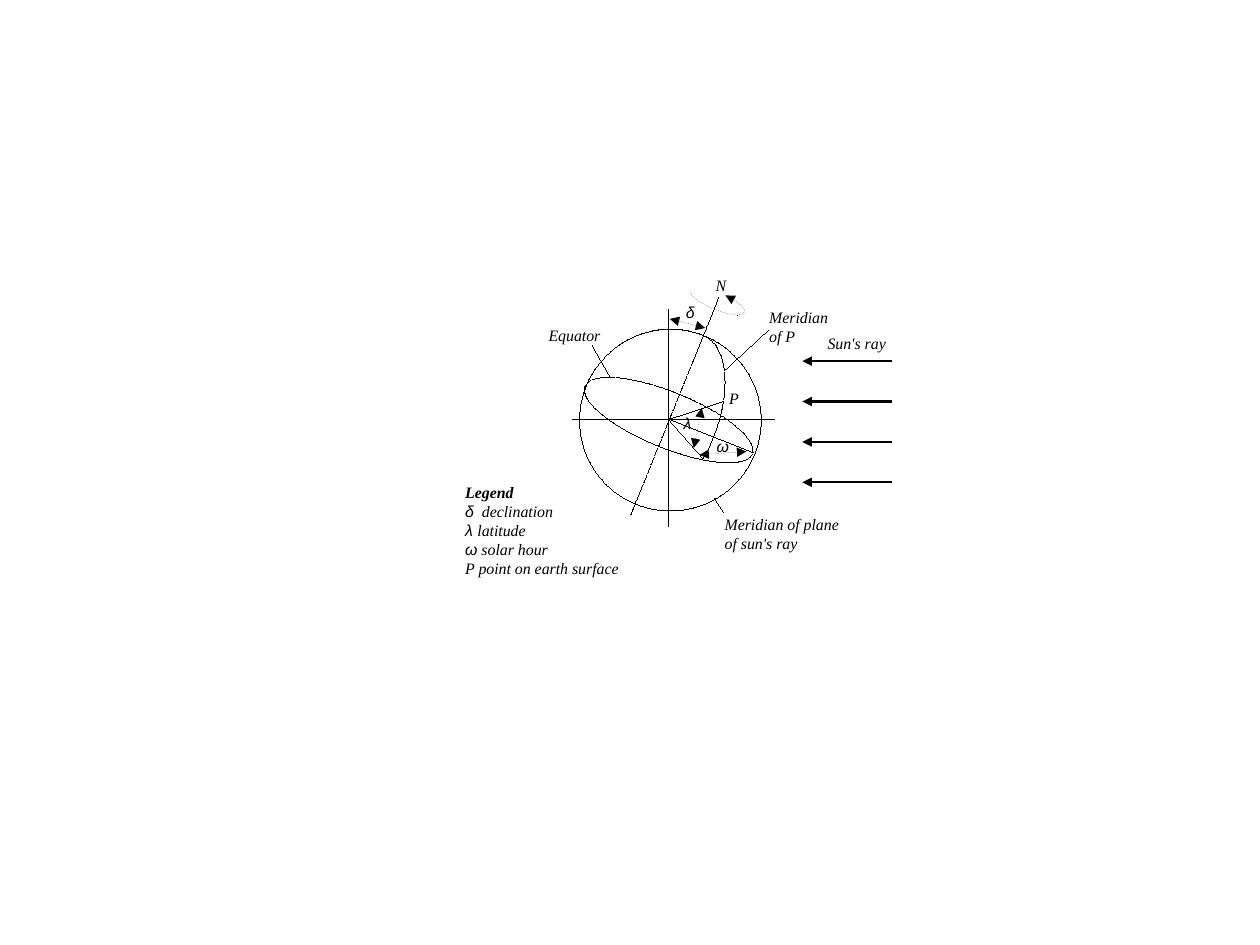
from lxml import etree
from pptx import Presentation
from pptx.dml.color import RGBColor
from pptx.enum.dml import MSO_LINE
from pptx.enum.shapes import MSO_CONNECTOR, MSO_SHAPE
from pptx.oxml.ns import qn
from pptx.util import Inches, Pt

STRAIGHT = MSO_CONNECTOR.STRAIGHT
ARC = MSO_SHAPE.ARC
OVAL = MSO_SHAPE.OVAL
DASHED = MSO_LINE.SQUARE_DOT
DOTTED = MSO_LINE.ROUND_DOT

COLORS = {"ink": "000000"}
SERIF = "Times New Roman"
SANS = "Arial"
HAIRLINE = 0.01
TILT = 22.1
ARC_UNITS_PER_DEGREE = 0.6
CM_PER_INCH = 2.54


def style_outline(element, width=HAIRLINE, dash=None, ends=()):
    element.line.color.rgb = RGBColor.from_string(COLORS["ink"])
    element.line.width = Pt(width)
    if dash is not None:
        element.line.dash_style = dash
    outline = element._element.spPr.find(qn("a:ln"))
    for end in ends:
        etree.SubElement(outline, qn(f"a:{end}"), type="triangle")


def add_line(slide, start, finish, **outline):
    line = slide.shapes.add_connector(STRAIGHT, *map(Inches, start + finish))
    style_outline(line, **outline)
    etree.SubElement(line._element.spPr, qn("a:effectLst"))


def add_curve(slide, kind, box, rotation=0, angles=(), **outline):
    curve = slide.shapes.add_shape(kind, *map(Inches, box))
    curve.rotation = rotation
    for index, angle in enumerate(angles):
        curve.adjustments[index] = angle * ARC_UNITS_PER_DEGREE
    curve.shadow.inherit = False
    curve.fill.background()
    style_outline(curve, **outline)


def add_run(paragraph, text, font=SERIF, bold=False):
    run = paragraph.add_run()
    run.text = text
    run.font.name = font
    run.font.size = Pt(10)
    run.font.italic = True
    run.font.bold = bold
    run.font.color.rgb = RGBColor.from_string(COLORS["ink"])


def add_text(slide, lines, box, **font_format):
    frame = slide.shapes.add_textbox(*map(Inches, box)).text_frame
    frame.word_wrap = False
    frame.margin_left = frame.margin_right = 0
    frame.margin_top = frame.margin_bottom = 0
    for index, line in enumerate(lines):
        paragraph = frame.add_paragraph() if index else frame.paragraphs[0]
        runs = [(line, font_format)] if isinstance(line, str) else line
        for text, run_format in runs:
            add_run(paragraph, text, **run_format)


def add_globe(slide):
    equator = (5.06, 3.43, 1.58, 0.49)
    add_curve(slide, OVAL, (5.07, 2.88, 1.59, 1.59))
    add_curve(slide, ARC, equator, TILT, (0, 180))
    add_curve(slide, ARC, equator, TILT + 180, (0, 180), dash=DASHED)
    add_curve(slide, ARC, (5.45, 2.88, 0.82, 1.59), TILT, (270, 27.55), dash=DASHED)
    add_curve(slide, ARC, (6.02, 2.56, 0.51, 0.15), TILT, (302.92, 175.91),
              dash=DOTTED, ends=["headEnd"])
    add_line(slide, (5.52, 4.5), (6.29, 2.6), dash=DASHED)
    for start, finish in [
        ((5.85, 4.61), (5.85, 2.71)),
        ((5.01, 3.67), (6.78, 3.67)),
        ((5.85, 3.67), (6.33, 3.51)),
        ((5.85, 3.67), (6.15, 4.01)),
        ((6.59, 3.96), (5.86, 3.67)),
    ]:
        add_line(slide, start, finish)


def add_angles(slide):
    for symbol, start, finish, box in [
        ("δ", (5.86, 2.79), (6.17, 2.87), (6, 2.65, 0.07, 0.18)),
        ("λ", (6.07, 3.92), (6.14, 3.57), (5.98, 3.62, 0.08, 0.18)),
        ("ω", (6.12, 3.98), (6.53, 3.95), (6.27, 3.82, 0.1, 0.18)),
    ]:
        add_line(slide, start, finish, dash=DOTTED, ends=["headEnd", "tailEnd"])
        add_text(slide, [symbol], box, font=SANS)


def add_labels(slide):
    for lines, box in [
        (["N"], (6.26, 2.41, 0.09, 0.17)),
        (["P"], (6.38, 3.4, 0.09, 0.17)),
        (["Equator"], (4.8, 2.85, 0.46, 0.17)),
        (["Meridian", "of P"], (6.73, 2.69, 0.52, 0.33)),
        (["Meridian of plane", "of sun's ray"], (6.34, 4.5, 1.04, 0.33)),
        (["Sun's ray"], (7.24, 2.92, 0.53, 0.17)),
    ]:
        add_text(slide, lines, box)
    for start, finish in [
        ((5.34, 3.3), (5.18, 3.02)),
        ((6.34, 3.24), (6.72, 2.89)),
        ((6.25, 4.36), (6.33, 4.48)),
    ]:
        add_line(slide, start, finish)


def add_sun_rays(slide):
    for index in range(4):
        y = 3.16 + index * 1.06 / 3
        add_line(slide, (7.02, y), (7.8, y), width=1.45, ends=["headEnd"])


def add_legend(slide):
    symbol = {"font": SANS}
    add_text(slide, [
        [("Legend", {"bold": True})],
        [("δ", symbol), ("  declination", {})],
        [("λ ", symbol), ("latitude", {})],
        [("ω", symbol), (" solar hour", {})],
        "P point on earth surface",
    ], (4.07, 4.22, 1.35, 0.89))


def main():
    presentation = Presentation()
    presentation.slide_width = Inches(28 / CM_PER_INCH)
    presentation.slide_height = Inches(21 / CM_PER_INCH)
    slide = presentation.slides.add_slide(presentation.slide_layouts[6])
    add_globe(slide)
    add_angles(slide)
    add_sun_rays(slide)
    add_labels(slide)
    add_legend(slide)
    presentation.save("out.pptx")


if __name__ == "__main__":
    main()
